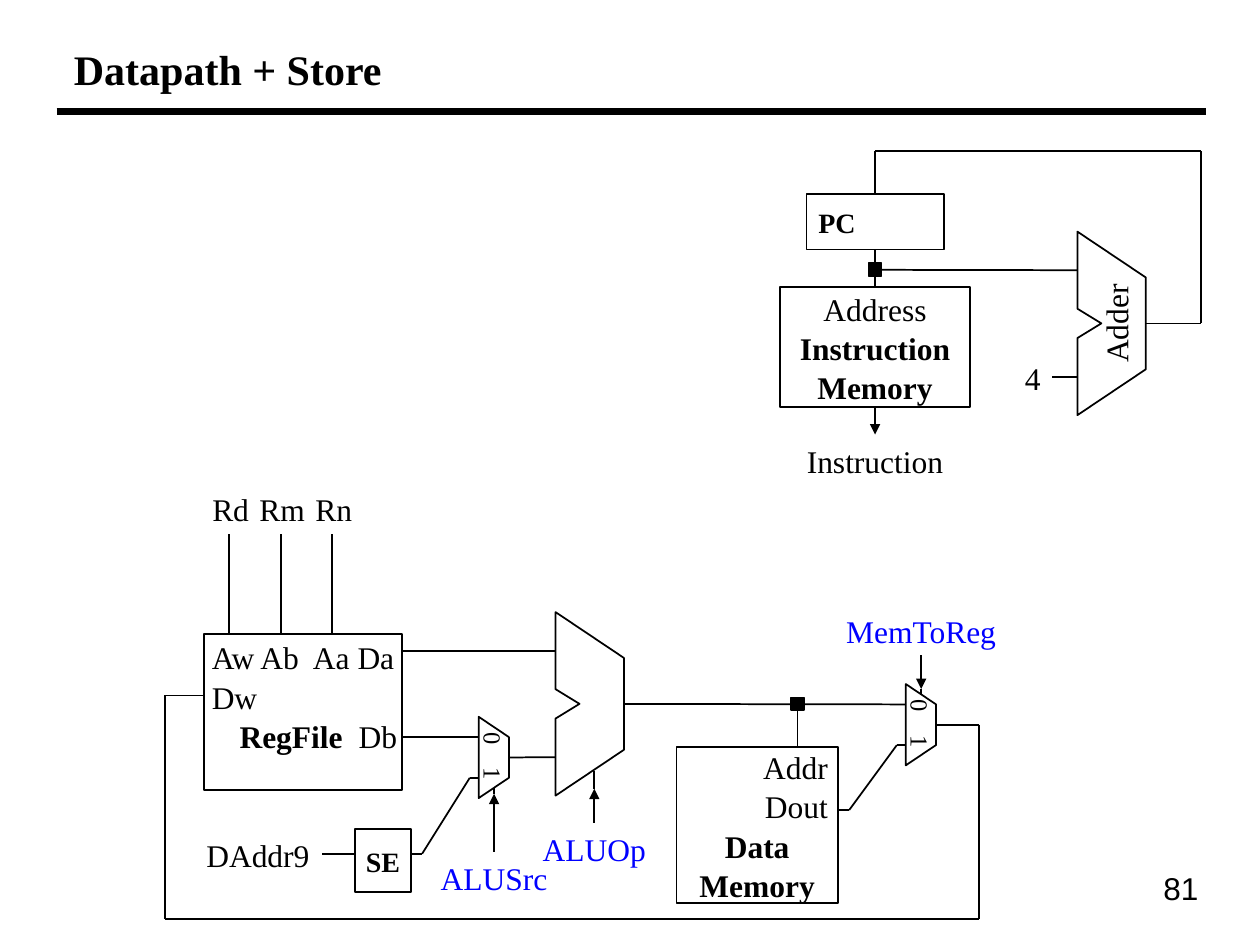
import pptx
import pptx.util
import pptx.dml.color
import pptx.enum.shapes
import pptx.enum.text
import pptx.oxml
import pptx.oxml.ns

Cm, Pt = pptx.util.Cm, pptx.util.Pt
ALIGN, ANCHOR = pptx.enum.text.PP_ALIGN, pptx.enum.text.MSO_ANCHOR
COLORS = {"ink": "000000", "paper": "FFFFFF", "control": "0000FF"}
SERIF = "Times New Roman"
ALU_SIZE, MUX_SIZE = (1.38, 3.7), (0.61, 1.64)
NODE = 0.26


def color(name):
    return pptx.dml.color.RGBColor.from_string(COLORS[name])


def apply(target, values):
    for name, value in values.items():
        setattr(target, name, value)


def add_xml(parent, tag, attributes=""):
    namespace = pptx.oxml.ns.nsdecls("a")
    child = pptx.oxml.parse_xml(f"<a:{tag} {namespace} {attributes}/>")
    parent.append(child)
    return child


def write(shape, lines, size=18, ink="ink", font=SERIF, align=ALIGN.CENTER,
          tabs=(), **frame_format):
    """Fill a shape; a line is a list of (text, bold) runs with an optional alignment last."""
    frame = shape.text_frame
    insets = {f"margin_{side}": 0 for side in ("left", "right", "top", "bottom")}
    apply(frame, {"word_wrap": True, "vertical_anchor": ANCHOR.MIDDLE, **insets, **frame_format})
    for number, line in enumerate(lines):
        paragraph = frame.add_paragraph() if number else frame.paragraphs[0]
        own_align = [part for part in line if not isinstance(part, tuple)]
        apply(paragraph, {"alignment": own_align[0] if own_align else align,
                          "line_spacing": 1.04})
        if tabs and tabs[number]:
            stops = add_xml(paragraph._p.get_or_add_pPr(), "tabLst")
            for stop in tabs[number]:
                add_xml(stops, "tab", f'pos="{Cm(stop)}" algn="l"')
        for text, bold in (part for part in line if isinstance(part, tuple)):
            run = paragraph.add_run()
            run.text = text
            apply(run.font, {"name": font, "size": Pt(size), "bold": bold})
            run.font.color.rgb = color(ink)


def text_box(slide, box, lines, **style):
    holder = slide.shapes.add_textbox(*map(Cm, box))
    write(holder, lines, **style)
    return holder


def label(slide, text, center, top, width, ink="ink"):
    text_box(slide, (center - width / 2, top, width, 1.02), [[(text, False)]],
             ink=ink, word_wrap=False)


def outline(shape, fill="paper"):
    shape.shadow.inherit = False
    shape.fill.solid()
    shape.fill.fore_color.rgb = color(fill)
    shape.line.color.rgb = color("ink")
    shape.line.width = Pt(1)
    return shape


def block(slide, box, fill="paper"):
    rectangle = pptx.enum.shapes.MSO_SHAPE.RECTANGLE
    return outline(slide.shapes.add_shape(rectangle, *map(Cm, box)), fill)


def polygon(slide, box, fractions):
    left, top, width, height = box
    points = [(Cm(left + x * width), Cm(top + y * height)) for x, y in fractions]
    builder = slide.shapes.build_freeform(*points[0])
    builder.add_line_segments(points[1:], close=True)
    return outline(builder.convert_to_shape())


def wire(slide, *points, arrow=False, width=1):
    """Join the points with straight segments, the last one optionally ending in an arrow."""
    for start, end in zip(points, points[1:]):
        segment = slide.shapes.add_connector(
            pptx.enum.shapes.MSO_CONNECTOR.STRAIGHT, *map(Cm, (*start, *end)))
        segment.line.color.rgb = color("ink")
        segment.line.width = Pt(width)
        properties = segment.element.spPr
        if arrow and end == points[-1]:
            add_xml(properties.find(pptx.oxml.ns.qn("a:ln")), "tailEnd", 'type="triangle"')
        add_xml(properties, "effectLst")


def junction(slide, x, y):
    block(slide, (x - NODE / 2, y - NODE / 2, NODE, NODE), "ink")


def alu(slide, left, top):
    """Draw a notched arithmetic unit; return its two inputs and its output."""
    width, height = ALU_SIZE
    polygon(slide, (left, top, width, height),
            [(0, 0), (1, 0.25), (1, 0.75), (0, 1), (0, 0.58), (0.35, 0.5), (0, 0.42)])
    return ((left, top + 0.21 * height), (left, top + 0.79 * height),
            (left + width, top + height / 2))


def mux(slide, left, top):
    """Draw a two-way selector; return its two inputs and its output."""
    width, height = MUX_SIZE
    polygon(slide, (left, top, width, height), [(0, 0), (1, 0.25), (1, 0.75), (0, 1)])
    center_x, center_y = left + width / 2, top + height / 2
    choices = text_box(slide, (center_x - height / 2, center_y - width / 2, height, width),
                       [[("0\t1", False)]], size=14, align=ALIGN.LEFT,
                       tabs=[[0.71]], margin_left=Cm(0.32))
    choices.rotation = 90
    return ((left, top + height / 4), (left, top + height * 3 / 4), (left + width, center_y))


def control(slide, name, x, label_box, start, tip, end):
    """Label a control signal and run its arrow and stub into the unit."""
    wire(slide, (x, tip), (x, end))
    wire(slide, (x, start), (x, tip), arrow=True)
    label(slide, name, x, *label_box, ink="control")


def header(slide, box):
    left, top, width, height = box
    wire(slide, (left - 0.1, top + 1.6), (left + 23.07, top + 1.6), width=4)
    text_box(slide, box, [[("Datapath + Store", True)]], size=24, align=ALIGN.LEFT,
             margin_left=Cm(0.25))


def page_number(slide, box):
    text_box(slide, box, [[("81", False)]], font="Arial", align=ALIGN.RIGHT,
             vertical_anchor=ANCHOR.TOP, margin_right=Cm(0.25), margin_top=Cm(0.13))


def fetch_unit(slide, box):
    """Program counter, instruction memory and the adder that advances by 4."""
    left, top, width, _ = box
    bus, node_y = left + 1.92, top + 2.39
    adder_left, adder_top = left + 6, top + 1.62
    next_in, four_in, adder_out = alu(slide, adder_left, adder_top)
    adder_width, adder_height = ALU_SIZE
    name = text_box(slide, (adder_left + 0.76 - adder_height / 2, adder_out[1] - 0.5,
                            adder_height, 1), [[("Adder", False)]])
    name.rotation = 270
    right = left + width
    wire(slide, adder_out, (right, adder_out[1]), (right, top), (bus, top), (bus, top + 0.86))
    wire(slide, (bus, top + 1.98), (bus, top + 2.74))
    wire(slide, (bus, node_y), next_in)
    junction(slide, bus, node_y)
    write(block(slide, (left + 0.54, top + 0.86, 2.77, 1.12)), [[("PC", True)]],
          size=16, align=ALIGN.LEFT, margin_left=Cm(0.24))
    write(block(slide, (left, top + 2.74, 3.84, 2.41)),
          [[("Address", False)], [("Instruction", True)], [("Memory", True)]])
    wire(slide, (bus, top + 5.15), (bus, top + 5.71), arrow=True)
    label(slide, "Instruction", bus, top + 5.71, 3.3)
    label(slide, "4", left + 5.1, top + 4.04, 0.84)
    wire(slide, (left + 5.49, four_in[1]), four_in)


def register_file(slide, box):
    left, top, _, _ = box
    write(block(slide, box),
          [[("Aw Ab\tAa Da", False)], [("Dw", False)], [("\tRegFile", True), ("\tDb", False)]],
          align=ALIGN.LEFT, tabs=[[2.04], [], [0.56, 2.96]],
          vertical_anchor=ANCHOR.TOP, margin_left=Cm(0.16), margin_top=Cm(0.06))
    for port, (register, width) in enumerate((("Rd", 1.27), ("Rm", 1.45), ("Rn", 1.27))):
        x = left + 0.51 + 1.04 * port
        wire(slide, (x, top - 2.01), (x, top))
        label(slide, register, x + 0.03, top - 3.05, width)


def data_memory(slide, box):
    write(block(slide, box),
          [[("Addr", False), ALIGN.RIGHT], [("Dout", False), ALIGN.RIGHT],
           [("Data", True)], [("Memory", True)]],
          margin_left=Cm(0.2), margin_right=Cm(0.2))


def execute_unit(slide, box):
    """Registers, operand selection, ALU, data memory and the write-back loop."""
    left, top, width, height = box
    right, bottom = left + width, top + height
    register_file(slide, (left + 0.78, top + 3.05, 3.99, 3.15))
    data_memory(slide, (left + 10.31, top + 5.33, 3.25, 3.15))
    alu_a, alu_b, alu_out = alu(slide, left + 7.87, top + 2.61)
    source_0, source_1, source_out = mux(slide, left + 6.32, top + 4.72)
    result_0, result_1, result_out = mux(slide, left + 14.93, top + 4.06)

    wire(slide, (left + 4.77, alu_a[1]), alu_a)
    wire(slide, (left + 4.77, source_0[1]), source_0)
    wire(slide, source_out, alu_b)
    wire(slide, alu_out, result_0)
    junction(slide, left + 12.75, alu_out[1])
    wire(slide, (left + 12.75, alu_out[1]), (left + 12.75, top + 5.33))
    wire(slide, (left + 13.56, top + 6.6), (left + 13.79, top + 6.6),
         (result_1[0] - 0.18, result_1[1]), result_1)
    wire(slide, result_out, (right, result_out[1]), (right, bottom), (left, bottom),
         (left, top + 4.29), (left + 0.78, top + 4.29))

    extend_y = top + 7.48
    write(block(slide, (left + 3.83, top + 6.98, 1.12, 1.27)), [[("SE", True)]], size=16)
    label(slide, "DAddr9", left + 1.87, top + 6.98, 2.62)
    wire(slide, (left + 3.17, extend_y), (left + 3.83, extend_y))
    wire(slide, (left + 4.95, extend_y), (left + 5.18, extend_y),
         (source_1[0] - 0.18, source_1[1]), source_1)

    for name, x, label_top, label_width, start, tip, end in (
            ("ALUOp", 8.65, 6.86, 2.62, 6.86, 6.17, 5.81),
            ("MemToReg", 15.24, 2.46, 3.56, 3.48, 4.16, 4.27),
            ("ALUSrc", 6.63, 7.44, 2.69, 7.44, 6.27, 6.15)):
        control(slide, name, left + x, (top + label_top, label_width),
                top + start, top + tip, top + end)


def main():
    deck = pptx.Presentation()
    apply(deck, {"slide_width": Cm(25.4), "slide_height": Cm(19.05)})
    slide = deck.slides.add_slide(deck.slide_layouts[6])
    header(slide, (1.24, 0.64, 22.96, 1.47))
    page_number(slide, (19.2, 17.35, 5.21, 1.24))
    execute_unit(slide, (3.33, 9.73, 16.41, 8.79))
    fetch_unit(slide, (15.72, 3.05, 8.49, 6.73))
    deck.save("out.pptx")


if __name__ == "__main__":
    main()
